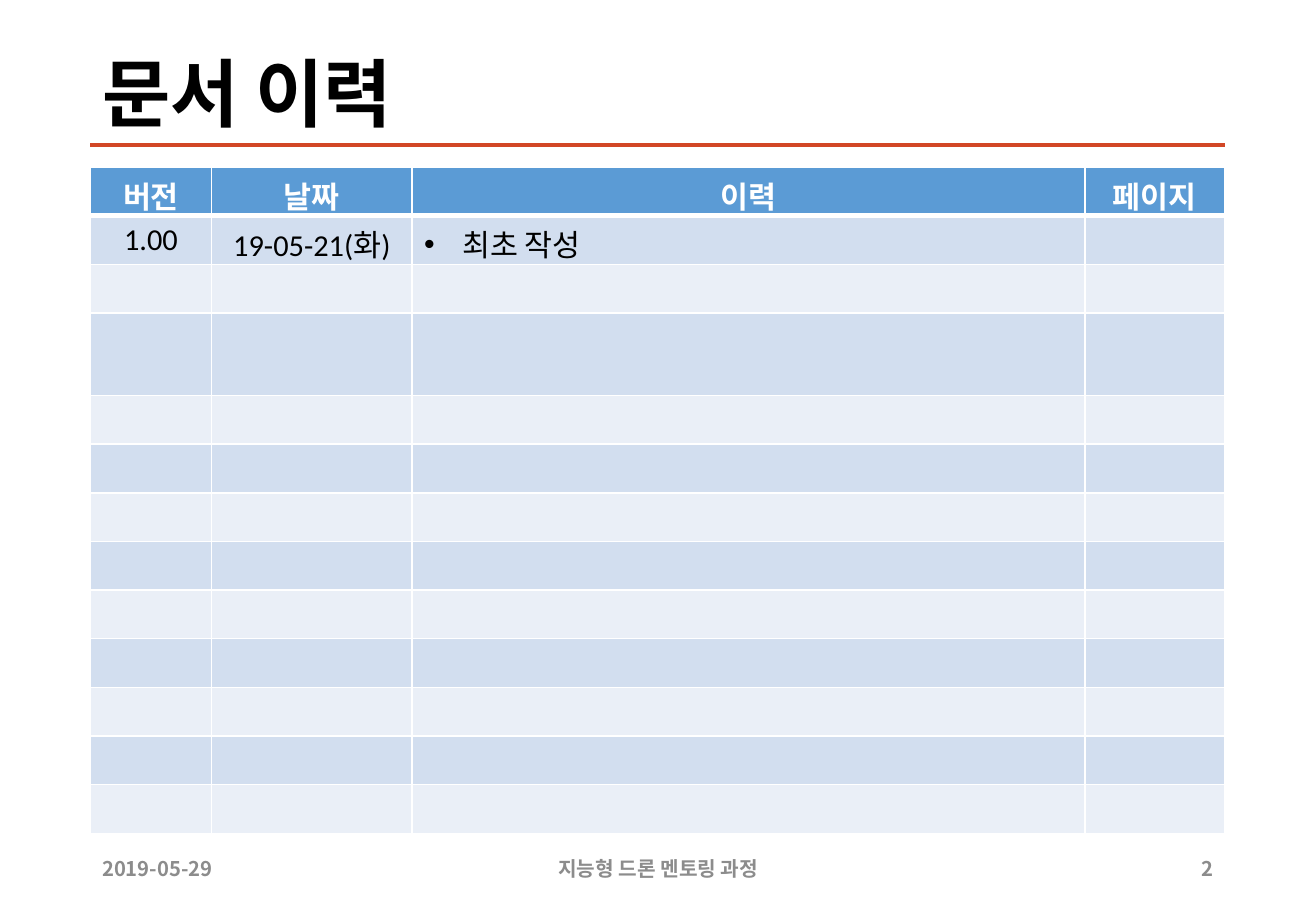
from lxml import etree
from pptx import Presentation
from pptx import util as u
from pptx.dml.color import RGBColor
from pptx.enum import shapes, text
from pptx.oxml import ns

BLACK = RGBColor(0x00, 0x00, 0x00)
WHITE = RGBColor(0xFF, 0xFF, 0xFF)
GRAY = RGBColor(0x8C, 0x8C, 0x8C)
ORANGE = RGBColor(0xD2, 0x47, 0x26)
HEADER_BLUE = RGBColor(0x5B, 0x9B, 0xD5)
BANDS = RGBColor(0xD2, 0xDE, 0xEF), RGBColor(0xEA, 0xEF, 0xF7)

KOREAN = "Noto Sans CJK KR"
LEFT, CENTER, RIGHT = (text.PP_ALIGN.LEFT, text.PP_ALIGN.CENTER,
                       text.PP_ALIGN.RIGHT)
MIDDLE = text.MSO_ANCHOR.MIDDLE


def add_xml(parent, tag, **attributes):
    return etree.SubElement(parent, ns.qn(tag), attributes)


class Deck:
    """Holds the text style and the current slide."""

    def __init__(self, slide, body_font="Calibri", body_size=18):
        self.slide = slide
        self.body_font = body_font
        self.body_size = body_size

    def style(self, paragraph, color, bold, align, font=None, size=None):
        paragraph.alignment = align
        paragraph.font.name = font or self.body_font
        paragraph.font.size = u.Pt(size or self.body_size)
        paragraph.font.bold = bold
        paragraph.font.color.rgb = color
        # Hangul takes the East Asian font
        defaults = paragraph._p.pPr.find(ns.qn("a:defRPr"))
        add_xml(defaults, "a:ea", typeface=KOREAN)

    def label(self, words, left, top, width, height, color, font, size,
              align=LEFT, spacing=None):
        box = self.slide.shapes.add_textbox(
            u.Pt(left), u.Pt(top), u.Pt(width), u.Pt(height))
        frame = box.text_frame
        frame.word_wrap = True
        frame.vertical_anchor = MIDDLE
        paragraph = frame.paragraphs[0]
        paragraph.text = words
        paragraph.line_spacing = spacing
        self.style(paragraph, color, True, align, font, size)

    def rule(self, left, right, y, color, weight):
        line = self.slide.shapes.add_connector(
            shapes.MSO_CONNECTOR.STRAIGHT,
            u.Pt(left), u.Pt(y), u.Pt(right), u.Pt(y))
        line.line.color.rgb = color
        line.line.width = u.Pt(weight)
        add_xml(line._element.spPr, "a:effectLst")

    def table(self, left, top, widths, heights):
        grid = self.slide.shapes.add_table(
            len(heights), len(widths), u.Pt(left), u.Pt(top),
            u.Pt(sum(widths)), u.Pt(sum(heights))).table
        grid.horz_banding = False
        for column, width in zip(grid.columns, widths):
            column.width = u.Pt(width)
        for row, height in zip(grid.rows, heights):
            row.height = u.Pt(height)
        return grid

    def cell(self, cell, words, fill, color, bold, align, top, bottom):
        cell.vertical_anchor = MIDDLE
        properties = cell._tc.get_or_add_tcPr()
        for side, weight in zip("LRTB", (1, 1, top, bottom)):
            border = add_xml(properties, f"a:ln{side}", w=str(u.Pt(weight)))
            add_xml(add_xml(border, "a:solidFill"), "a:srgbClr", val=str(WHITE))
        cell.fill.solid()
        cell.fill.fore_color.rgb = fill
        paragraph = cell.text_frame.paragraphs[0]
        paragraph.text = words
        self.style(paragraph, color, bold, align)

    def bullet(self, paragraph, indent):
        properties = paragraph._p.get_or_add_pPr()
        properties.set("marL", str(u.Pt(indent)))
        properties.set("indent", str(-u.Pt(indent)))
        defaults = properties.find(ns.qn("a:defRPr"))
        for tag, attributes in (("a:buFont", {"typeface": "Arial"}),
                                ("a:buChar", {"char": "•"})):
            defaults.addprevious(
                etree.Element(ns.qn(tag), attributes))


presentation = Presentation()
presentation.slide_width = u.Pt(780)
presentation.slide_height = u.Pt(540)
deck = Deck(presentation.slides.add_slide(presentation.slide_layouts[6]))

MARGIN = 53.5
CONTENT_WIDTH = 672.5
CONTENT_RIGHT = MARGIN + CONTENT_WIDTH

# Title and its rule
deck.rule(MARGIN, CONTENT_RIGHT, 86, ORANGE, 2)
deck.label("문서 이력", MARGIN, 29, CONTENT_WIDTH, 57, BLACK,
           "Times New Roman", 44, spacing=0.9)

# Footer: date, course, page number
for words, left, width, align in (
        ("2019-05-29", MARGIN, 91.5, LEFT),
        ("지능형 드론 멘토링 과정", 258.5, 263.5, CENTER),
        ("2", CONTENT_RIGHT - 38, 38, RIGHT)):
    deck.label(words, left, 500.5, width, 28.5, GRAY, KOREAN, 12, align)

# Revision history
headings = "버전", "날짜", "이력", "페이지"
first_revision = "1.00", "19-05-21(화)", "최초 작성", ""
EMPTY_ROWS = 11
history_rows = [headings, first_revision] + [("",) * 4] * EMPTY_ROWS
row_heights = [28] * len(history_rows)
row_heights[3] = 49
history = deck.table(MARGIN, 99, (72, 118.75, 398.75, 83), row_heights)

for r, entries in enumerate(history_rows):
    is_header = r == 0
    for c, words in enumerate(entries):
        deck.cell(history.cell(r, c), words,
                  fill=HEADER_BLUE if is_header else BANDS[(r - 1) % 2],
                  color=WHITE if is_header else BLACK,
                  bold=is_header,
                  align=LEFT if c == 2 and not is_header else CENTER,
                  top=3 if r == 1 else 1,
                  bottom=3 if is_header else 1)

deck.bullet(history.cell(1, 2).text_frame.paragraphs[0], 22.5)

presentation.save("out.pptx")
